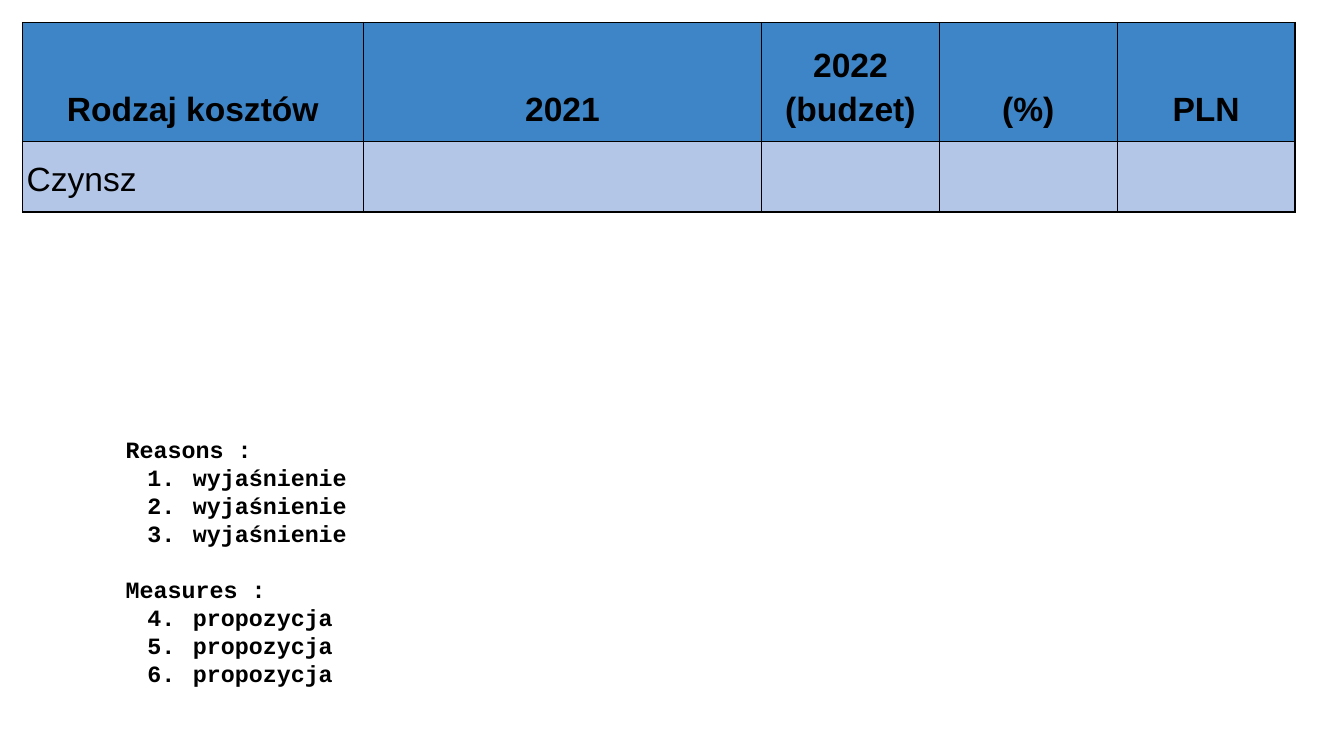
from lxml import etree
from pptx import Presentation
from pptx.dml.color import RGBColor
from pptx.enum.text import MSO_ANCHOR, MSO_AUTO_SIZE, PP_ALIGN
from pptx.oxml.ns import qn
from pptx.util import Pt

LEFT, CENTER = PP_ALIGN.LEFT, PP_ALIGN.CENTER
BOTTOM = MSO_ANCHOR.BOTTOM
GROW = MSO_AUTO_SIZE.SHAPE_TO_FIT_TEXT

BLACK, HEADER_BLUE, ROW_BLUE = "000000", "3D85C6", "B4C6E7"


def rgb(value):
    return RGBColor.from_string(value)


def add_color(parent, tag, color):
    fill = etree.SubElement(parent, qn(tag))
    etree.SubElement(fill, qn("a:srgbClr"), val=color)


class SlideBuilder:
    table_font, list_font = "Arial", "Courier New"
    table_size, list_size = 18, 12.5

    def __init__(self, prs):
        self.s = prs.slides.add_slide(prs.slide_layouts[6])

    def run(self, p, text, font, size, bold):
        r = p.add_run()
        r.text = text
        r.font.name, r.font.size, r.font.bold = font, Pt(size), bold
        r.font.color.rgb = rgb(BLACK)

    def borders(self, cell):
        """Draw a thin black line on all four sides of a cell."""
        tc_pr = cell._tc.get_or_add_tcPr()
        for i, side in enumerate("LRTB"):
            ln = etree.Element(qn(f"a:ln{side}"), w=str(Pt(0.75)))
            add_color(ln, "a:solidFill", BLACK)
            tc_pr.insert(i, ln)

    def cell(self, cell, text, fill, align, bold):
        cell.fill.solid()
        cell.fill.fore_color.rgb = rgb(fill)
        cell.vertical_anchor = BOTTOM
        cell.margin_left = cell.margin_right = Pt(2.25)
        cell.margin_top = cell.margin_bottom = Pt(7.2)
        self.borders(cell)
        p = cell.text_frame.paragraphs[0]
        p.alignment, p.line_spacing = align, 1.15
        if text:
            self.run(p, text, self.table_font, self.table_size, bold)

    def table(self, left, top, widths, heights, header, body):
        frame = self.s.shapes.add_table(len(heights), len(widths), Pt(left), Pt(top),
                                        Pt(sum(widths)), Pt(sum(heights)))
        table = frame.table
        for column, width in zip(table.columns, widths):
            column.width = Pt(width)
        for row, height in zip(table.rows, heights):
            row.height = Pt(height)
        for cell, text in zip(table.rows[0].cells, header):
            self.cell(cell, text, HEADER_BLUE, CENTER, True)
        for cell, text in zip(table.rows[1].cells, body):
            self.cell(cell, text, ROW_BLUE, LEFT, False)

    def number(self, p):
        """Make a paragraph an item of an automatically numbered list."""
        p_pr = p._p.get_or_add_pPr()
        p_pr.set("marL", str(Pt(36)))
        p_pr.set("indent", str(Pt(-24.4)))
        add_color(p_pr, "a:buClr", BLACK)
        etree.SubElement(p_pr, qn("a:buFont"), typeface=self.list_font)
        etree.SubElement(p_pr, qn("a:buAutoNum"), type="arabicPeriod")

    def numbered_sections(self, left, top, width, height, sections):
        sp = self.s.shapes.add_textbox(Pt(left), Pt(top), Pt(width), Pt(height))
        tf = sp.text_frame
        tf.word_wrap, tf.auto_size = True, GROW
        tf.margin_left = tf.margin_right = tf.margin_top = tf.margin_bottom = Pt(7.2)
        for i, (heading, items) in enumerate(sections):
            p = tf.add_paragraph() if i else tf.paragraphs[0]
            if i:
                p.space_before = Pt(15)
            self.run(p, heading, self.list_font, self.list_size, True)
            for item in items:
                p = tf.add_paragraph()
                self.number(p)
                self.run(p, item, self.list_font, self.list_size, True)


def main():
    prs = Presentation()
    prs.slide_width, prs.slide_height = Pt(720), Pt(405)
    slide = SlideBuilder(prs)
    slide.table(12, 12, [182.7, 213.3] + [95.3] * 3, [64, 21.6],
                ["Rodzaj kosztów", "2021", "2022 (budzet)", "(%)", "PLN"],
                ["Czynsz", "", "", "", ""])
    slide.numbered_sections(60.3, 226, 623.5, 166.5, [
        ("Reasons :", ["wyjaśnienie"] * 3),
        ("Measures :", ["propozycja"] * 3),
    ])
    prs.save("out.pptx")


if __name__ == "__main__":
    main()
